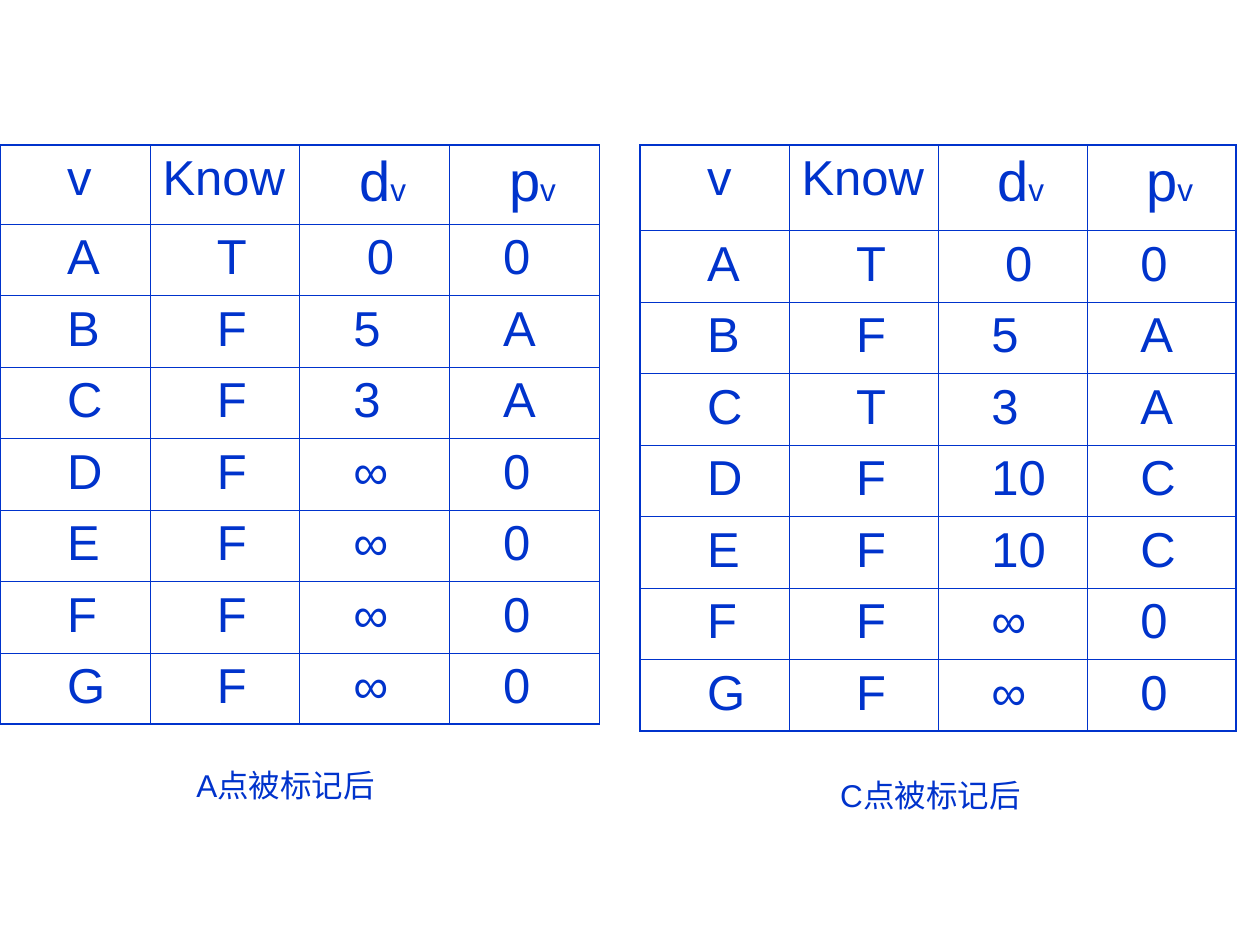
from lxml.etree import SubElement
from pptx import Presentation
from pptx.dml.color import RGBColor
from pptx.enum.text import MSO_AUTO_SIZE as AutoSize
from pptx.oxml.ns import qn
from pptx.util import Inches, Pt

COLORS = {"blue": "0033CC"}
FONT = "Arial"
COLUMNS, ROWS = 100, 75
THIN, THICK = 0.45, 1.08
BODY, SYMBOL, SMALL = 28, 32, 18
SPACE = 0.278  # width of an Arial space, in ems

HEADER = [[("v", BODY)], [("Know", BODY)],
          [("d", SYMBOL), ("v", SMALL)], [("p", SYMBOL), ("v", SMALL)]]
AFTER_A = ["AT00", "BF5A", "CF3A", "DF∞0", "EF∞0", "FF∞0", "GF∞0"]
AFTER_C = ["AT00", "BF5A", "CT3A", ["D", "F", "10", "C"],
           ["E", "F", "10", "C"], "FF∞0", "GF∞0"]


def indent_of(row, column):
    """Indent of a cell, counted in spaces of its first run."""
    if (row, column) == (0, 1):
        return 0
    return 4 if column < 2 or (row, column) == (1, 2) else 3


class Board:
    """Style and current slide; lengths are columns and rows of a grid."""

    def __init__(self, deck):
        self.page = deck.slides.add_slide(deck.slide_layouts[6])
        self.column = deck.slide_width / COLUMNS
        self.row = deck.slide_height / ROWS

    def frame(self, left, top, width, height):
        return (round(left * self.column), round(top * self.row),
                round(width * self.column), round(height * self.row))

    def add_runs(self, para, runs, spaces=0):
        margin = Pt(spaces * SPACE * runs[0][1])
        para._p.get_or_add_pPr().set("marL", str(margin))
        for text, size in runs:
            span = para.add_run()
            span.text = text
            span.font.name = FONT
            span.font.size = Pt(size)
            span.font.color.rgb = RGBColor.from_string(COLORS["blue"])

    def border(self, cell, side, width):
        line = SubElement(cell._tc.get_or_add_tcPr(), qn(f"a:ln{side}"), w=str(Pt(width)))
        fill = SubElement(line, qn("a:solidFill"))
        SubElement(fill, qn("a:srgbClr"), val=COLORS["blue"])

    def table(self, left, top, width, height, header_height, records):
        content = [HEADER] + [[[(value, BODY)] for value in record] for record in records]
        last_row, last_column = len(content) - 1, len(HEADER) - 1
        table = self.page.shapes.add_table(
            len(content), len(HEADER), *self.frame(left, top, width, height)).table
        table.first_row = table.horz_banding = False
        body_height = (height - header_height) / last_row
        for r, cells in enumerate(content):
            table.rows[r].height = round((body_height if r else header_height) * self.row)
            for c, runs in enumerate(cells):
                cell = table.cell(r, c)
                outer = {"L": c == 0, "R": c == last_column,
                         "T": r == 0, "B": r == last_row}
                for side, is_outer in outer.items():
                    self.border(cell, side, THICK if is_outer else THIN)
                cell.fill.background()
                self.add_runs(cell.text_frame.paragraphs[0], runs, indent_of(r, c))

    def caption(self, left, top, width, height, text):
        box = self.page.shapes.add_textbox(*self.frame(left, top, width, height))
        box.text_frame.word_wrap = True
        box.text_frame.auto_size = AutoSize.SHAPE_TO_FIT_TEXT
        self.add_runs(box.text_frame.paragraphs[0], [(text, SMALL)])


def main():
    deck = Presentation()
    deck.slide_width, deck.slide_height = Inches(10), Inches(7.5)
    board = Board(deck)
    board.table(0, 11.5, 47.6, 46, 6.3, AFTER_A)
    board.caption(14.6, 60.3, 17.3, 4, "A点被标记后")
    board.table(50.8, 11.5, 47.3, 46.5, 6.8, AFTER_C)
    board.caption(65.7, 61.1, 18.1, 4, "C点被标记后")
    deck.save("out.pptx")


if __name__ == "__main__":
    main()
